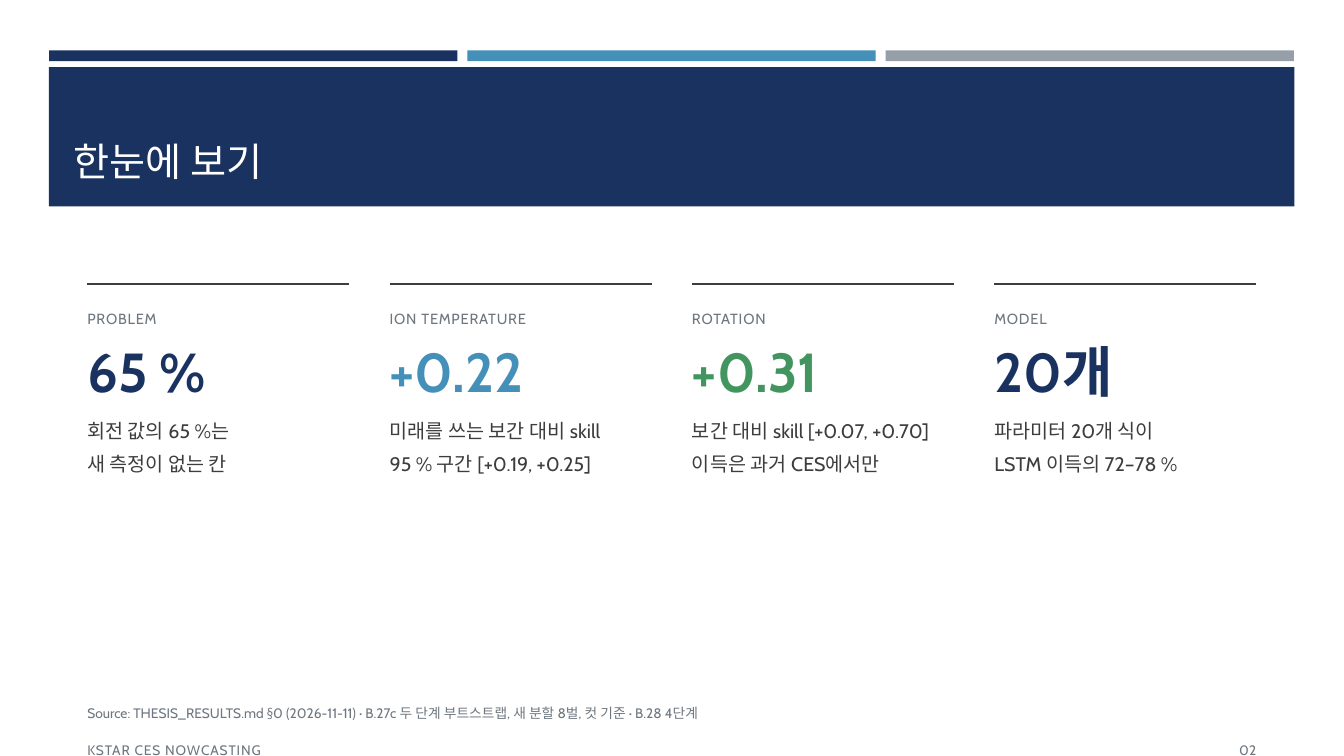
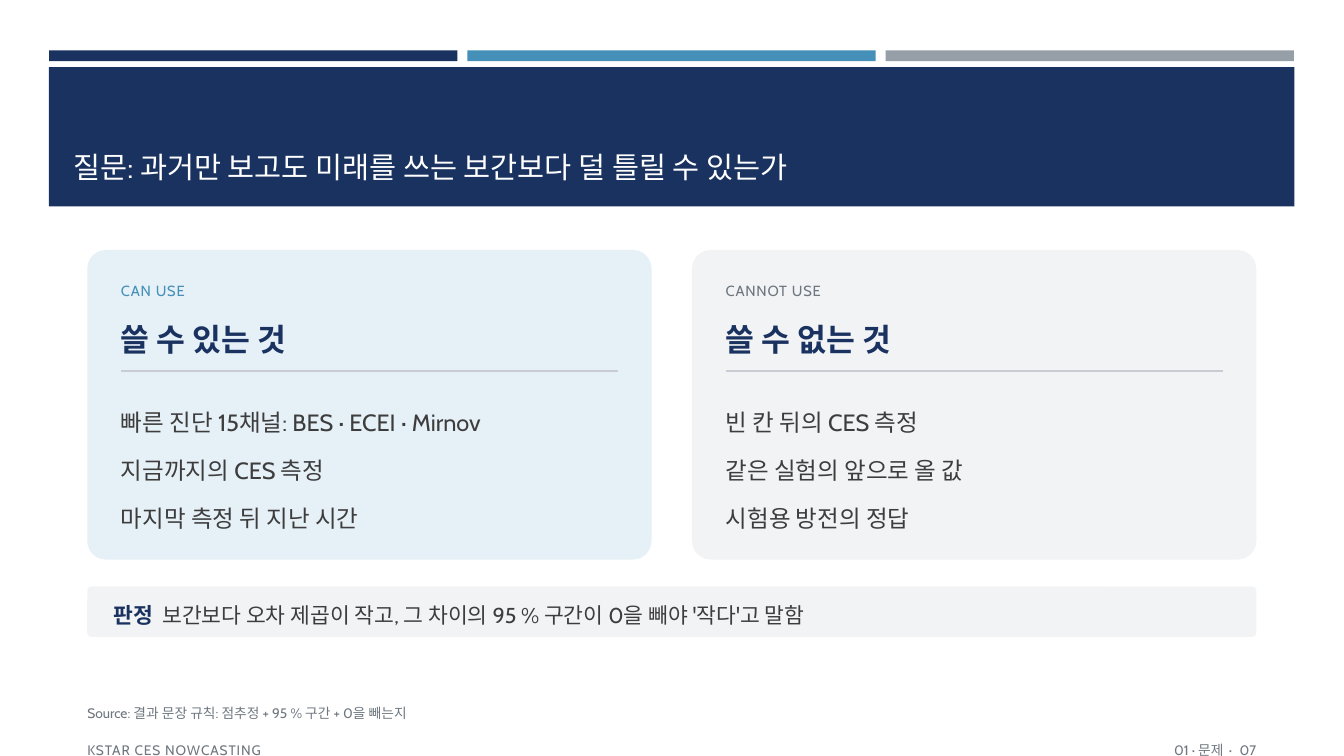
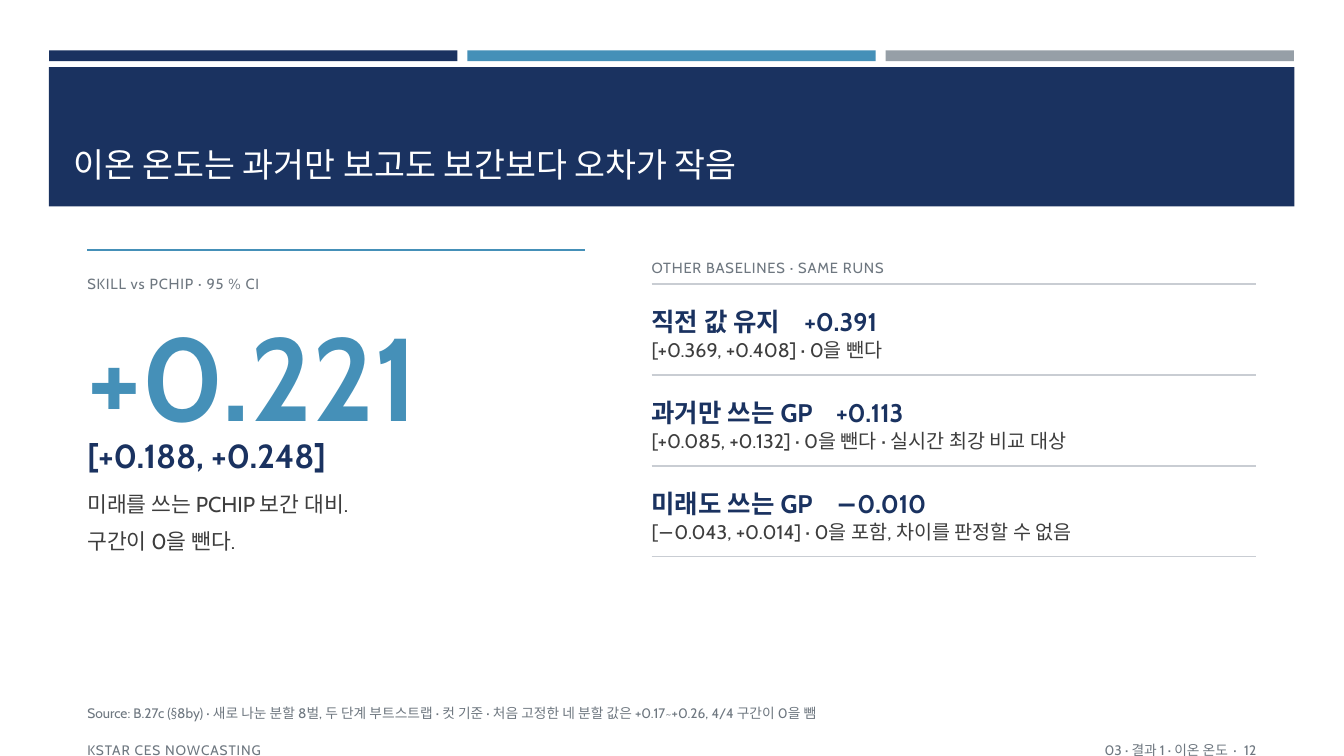
from lxml import etree
from pptx import Presentation
from pptx.dml.color import RGBColor
from pptx.enum.shapes import MSO_CONNECTOR, MSO_SHAPE
from pptx.enum.text import MSO_ANCHOR, PP_ALIGN
from pptx.oxml.ns import qn
from pptx.util import Cm, Pt

RECT, ROUND = MSO_SHAPE.RECTANGLE, MSO_SHAPE.ROUNDED_RECTANGLE
STRAIGHT = MSO_CONNECTOR.STRAIGHT
TOP, MIDDLE, BOTTOM = MSO_ANCHOR.TOP, MSO_ANCHOR.MIDDLE, MSO_ANCHOR.BOTTOM
LEFT, RIGHT = PP_ALIGN.LEFT, PP_ALIGN.RIGHT

# Shared look: colours, text formats and the content area (cm)
FONT = "Cabin"
NAVY, BLUE, GREEN, SILVER = "1A3260", "4590B8", "42955F", "969FA7"
INK, MUTED, RULE = "3D3D3D", "6E7780", "C9CDD3"
PALE_BLUE, PALE_GREY, WHITE = "E6F0F7", "F2F3F5", "FFFFFF"

FORMATS = {
    "title": dict(color=WHITE),
    "label": dict(size=10.5, color=MUTED, spc=0.6),
    "figure": dict(size=39.2, bold=True, color=NAVY),
    "hero": dict(size=84, bold=True, color=BLUE),
    "interval": dict(size=23.8, bold=True, color=NAVY),
    "card_head": dict(size=22.4, bold=True, color=NAVY),
    "row_head": dict(size=18.2, bold=True, color=NAVY),
    "card_body": dict(size=16.8, color=INK),
    "body": dict(size=15.4, color=INK),
    "small": dict(size=14, color=INK),
    "foot": dict(size=9.8, color=MUTED),
}
MARGIN, CONTENT_W, CONTENT_TOP = 2.2, 29.46, 6.3


def rgb(value):
    return RGBColor.from_string(value)


def format_run(r, values):
    r.font.name = FONT
    for key, value in values.items():
        if key == "color":
            r.font.color.rgb = rgb(value)
        elif key == "spc":
            r._r.get_or_add_rPr().set("spc", str(round(value * 100)))
        else:
            setattr(r.font, key, Pt(value) if key == "size" else value)


def add_text(s, box, paragraphs, style, spacing=1.25, align=LEFT, anchor=TOP,
             inset=(0, 0), tab=None, **changes):
    """Each paragraph is a string or a list of (text, format changes) runs."""
    tf = s.shapes.add_textbox(*map(Cm, box)).text_frame
    tf.word_wrap, tf.vertical_anchor = True, anchor
    tf.margin_left = tf.margin_right = Cm(inset[0])
    tf.margin_top = tf.margin_bottom = Cm(inset[1])
    for i, runs in enumerate(paragraphs):
        p = tf.add_paragraph() if i else tf.paragraphs[0]
        p.alignment, p.line_spacing = align, spacing
        if tab:
            tabs = etree.SubElement(p._p.get_or_add_pPr(), qn("a:tabLst"))
            etree.SubElement(tabs, qn("a:tab"), pos=str(Cm(tab)), algn="l")
        for text, extra in [(runs, {})] if isinstance(runs, str) else runs:
            r = p.add_run()
            r.text = text
            format_run(r, {**FORMATS[style], **changes, **extra})


def add_panel(s, kind, box, fill, radius=None):
    sp = s.shapes.add_shape(kind, *map(Cm, box))
    sp.shadow.inherit = False
    sp.fill.solid()
    sp.fill.fore_color.rgb = rgb(fill)
    sp.line.fill.background()
    if radius:
        sp.adjustments[0] = radius


def add_rule(s, x, y, w, color, weight=1):
    line = s.shapes.add_connector(STRAIGHT, Cm(x), Cm(y), Cm(x + w), Cm(y))
    line.line.color.rgb = rgb(color)
    line.line.width = Pt(weight)
    etree.SubElement(line._element.spPr, qn("a:effectLst"))


def add_frame(prs, title, size, source, page, section=None):
    """New slide with stripes, title band, source line and footer."""
    s = prs.slides.add_slide(prs.slide_layouts[6])
    for i, color in enumerate((NAVY, BLUE, SILVER)):
        add_panel(s, RECT, (1.24 + i * 10.54, 1.27, 10.29, 0.27), color)
    add_panel(s, RECT, (1.23, 1.69, 31.39, 3.51), NAVY)
    add_text(s, (1.6, 2.03, 30.63, 2.74), [title], "title", spacing=1,
             anchor=BOTTOM, inset=(0.25, 0.13), size=size)
    add_text(s, (MARGIN, 17.65, CONTENT_W, 0.69), [source], "foot")
    half = 13.55
    add_text(s, (MARGIN, 18.59, half, 0.5), ["KSTAR CES NOWCASTING"], "foot", spc=0.6)
    marker = [(section, {}), (" · ", {"spc": 1.6})] if section else []
    add_text(s, (MARGIN + CONTENT_W - half, 18.59, half, 0.5),
             [marker + [(page, {})]], "foot", align=RIGHT)
    return s


def add_metric(s, x, y, w, label, figure, color, notes):
    add_rule(s, x, y, w, INK, 1.25)
    add_text(s, (x, y + 0.54, w, 0.58), [label], "label")
    add_text(s, (x, y + 1.35, w, 2.21), [figure], "figure", spacing=1, color=color)
    add_text(s, (x, y + 3.15, w, 3.05), notes, "small", spacing=1.4)


def add_card(s, x, y, w, h, fill, label, label_color, heading, items):
    add_panel(s, ROUND, (x, y, w, h), fill, 0.06)
    x, w = x + 0.85, w - 1.7
    add_text(s, (x, y + 0.69, w, 0.58), [label], "label", color=label_color)
    add_text(s, (x, y + 1.52, w, 1.19), [heading], "card_head")
    add_rule(s, x, y + 3.05, w, RULE)
    add_text(s, (x, y + 3.48, w, 4.06), items, "card_body", spacing=1.7)


def add_verdict(s, x, y, w, h, term, text):
    add_panel(s, ROUND, (x, y, w, h), PALE_GREY, 0.08)
    runs = [(term + "\t", dict(bold=True, color=NAVY)), (text, {})]
    add_text(s, (x + 0.67, y, w - 1.34, h), [runs], "body", anchor=MIDDLE, tab=1.22)


def add_headline_result(s, x, y, w, label, value, interval, notes):
    add_rule(s, x, y, w, BLUE, 2)
    add_text(s, (x, y + 0.51, w, 0.58), [label], "label")
    add_text(s, (x, y + 1.37, w, 3.23), [value], "hero", spacing=1)
    add_text(s, (x, y + 4.42, w, 1.19), [interval], "interval")
    add_text(s, (x, y + 5.77, w, 2.36), notes, "body", spacing=1.45)


def add_baselines(s, x, y, w, label, rows):
    pitch = 2.29
    add_text(s, (x, y, w, 0.58), [label], "label")
    y += 0.76
    add_rule(s, x, y, w, RULE)
    for name, value, tab, note in rows:
        add_text(s, (x, y + 0.36, w, 0.84), [f"{name}\t{value}"], "row_head", tab=tab)
        add_text(s, (x, y + 1.22, w, 1.02), [note], "small")
        y += pitch
        add_rule(s, x, y, w, RULE)


def overview_slide(prs):
    s = add_frame(prs, "한눈에 보기", 28,
                  "Source: THESIS_RESULTS.md §0 (2026-11-11) · B.27c 두 단계 부트스트랩, "
                  "새 분할 8벌, 컷 기준 · B.28 4단계", "02")
    metrics = [
        ("PROBLEM", "65 %", NAVY, ["회전 값의 65 %는", "새 측정이 없는 칸"]),
        ("ION TEMPERATURE", "+0.22", BLUE,
         ["미래를 쓰는 보간 대비 skill", "95 % 구간 [+0.19, +0.25]"]),
        ("ROTATION", "+0.31", GREEN,
         ["보간 대비 skill [+0.07, +0.70]", "이득은 과거 CES에서만"]),
        ("MODEL", "20개", NAVY, ["파라미터 20개 식이", "LSTM 이득의 72–78 %"]),
    ]
    gap = 1.02
    w = (CONTENT_W - 3 * gap) / 4
    for i, metric in enumerate(metrics):
        add_metric(s, MARGIN + i * (w + gap), 7.16, w, *metric)


def question_slide(prs):
    s = add_frame(prs, "질문: 과거만 보고도 미래를 쓰는 보간보다 덜 틀릴 수 있는가", 21,
                  "Source: 결과 문장 규칙: 점추정 + 95 % 구간 + 0을 빼는지", "07", "01 · 문제")
    cards = [
        (PALE_BLUE, "CAN USE", BLUE, "쓸 수 있는 것",
         ["빠른 진단 15채널: BES · ECEI · Mirnov", "지금까지의 CES 측정",
          "마지막 측정 뒤 지난 시간"]),
        (PALE_GREY, "CANNOT USE", MUTED, "쓸 수 없는 것",
         ["빈 칸 뒤의 CES 측정", "같은 실험의 앞으로 올 값", "시험용 방전의 정답"]),
    ]
    gap = 1.02
    w = (CONTENT_W - gap) / 2
    for i, card in enumerate(cards):
        add_card(s, MARGIN + i * (w + gap), CONTENT_TOP, w, 7.8, *card)
    add_verdict(s, MARGIN, 14.78, CONTENT_W, 1.27, "판정",
                "보간보다 오차 제곱이 작고, 그 차이의 95 % 구간이 0을 빼야 '작다'고 말함")


def result_slide(prs):
    s = add_frame(prs, "이온 온도는 과거만 보고도 보간보다 오차가 작음", 24,
                  "Source: B.27c (§8by) · 새로 나눈 분할 8벌, 두 단계 부트스트랩 · 컷 기준 · "
                  "처음 고정한 네 분할 값은 +0.17~+0.26, 4/4 구간이 0을 뺌",
                  "12", "03 · 결과 1 · 이온 온도")
    add_headline_result(s, MARGIN, CONTENT_TOP, 12.53, "SKILL vs PCHIP · 95 % CI",
                        "+0.221", "[+0.188, +0.248]",
                        ["미래를 쓰는 PCHIP 보간 대비.", "구간이 0을 뺀다."])
    w = 15.24
    add_baselines(s, MARGIN + CONTENT_W - w, 6.4, w, "OTHER BASELINES · SAME RUNS", [
        ("직전 값 유지", "+0.391", 3.85, "[+0.369, +0.408] · 0을 뺀다"),
        ("과거만 쓰는 GP", "+0.113", 4.65,
         "[+0.085, +0.132] · 0을 뺀다 · 실시간 최강 비교 대상"),
        ("미래도 쓰는 GP", "−0.010", 4.65,
         "[−0.043, +0.014] · 0을 포함, 차이를 판정할 수 없음"),
    ])


def main():
    prs = Presentation()
    prs.slide_width, prs.slide_height = Cm(33.87), Cm(19.05)
    for build in (overview_slide, question_slide, result_slide):
        build(prs)
    prs.save("out.pptx")


if __name__ == "__main__":
    main()
